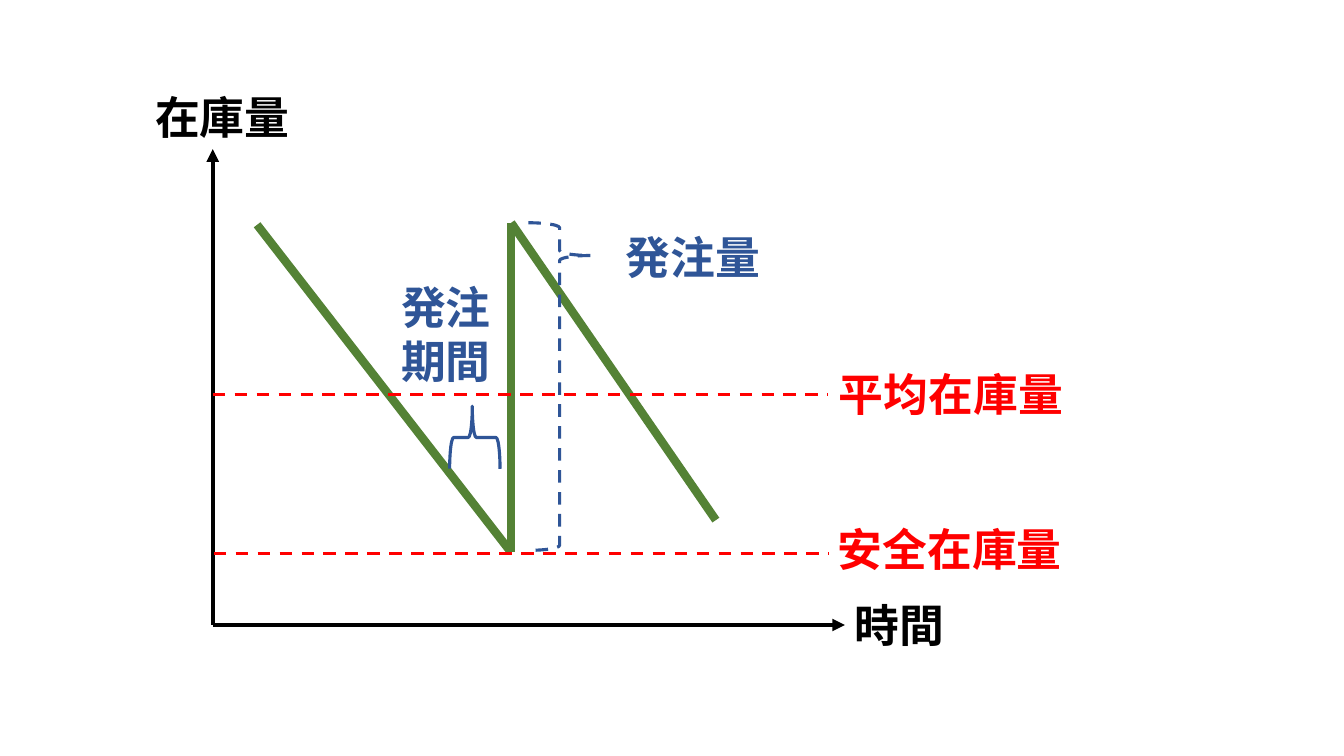
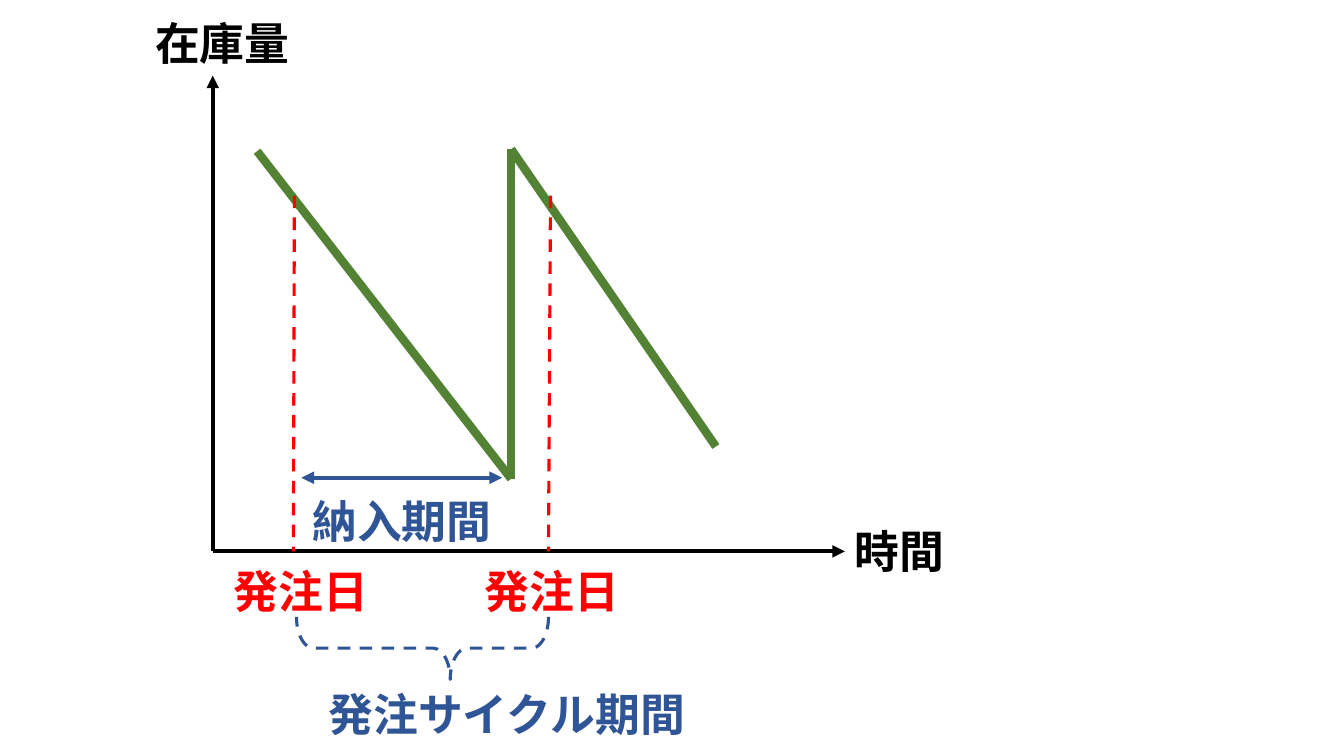
import lxml.etree
import pptx
import pptx.util
import pptx.dml.color
import pptx.enum.dml
import pptx.enum.shapes
import pptx.enum.text
import pptx.oxml.ns

PX = 9144  # one px is a hundredth of an inch
FONT = "Noto Sans CJK JP"
BLACK, GREEN, BLUE, RED = "000000", "548235", "2F5597", "FF0000"
AXIS, STOCK, THIN = 3, 6, 2.25  # line widths in points
ROW = 64  # height of a one-line label


def px(num):
    return pptx.util.Emu(num * PX)


def tint(code):
    return pptx.dml.color.RGBColor.from_string(code)


def add_tag(node, name, **attrs):
    return lxml.etree.SubElement(node, pptx.oxml.ns.qn(name), attrs)


def pen(shape, color, width, dash):
    shape.line.color.rgb = tint(color)
    shape.line.width = pptx.util.Pt(width)
    if dash:
        shape.line.dash_style = pptx.enum.dml.MSO_LINE.DASH


class Board:
    """A slide region whose parts are placed from its top left corner."""

    def __init__(self, slide, left, top):
        self.shapes, self.left, self.top = slide.shapes, left, top

    def spot(self, x, y):
        return px(self.left + x), px(self.top + y)

    def line(self, start, end, color, width, dash=False, ends=()):
        link = self.shapes.add_connector(
            pptx.enum.shapes.MSO_CONNECTOR.STRAIGHT,
            *self.spot(*start), *self.spot(*end))
        pen(link, color, width, dash)
        props = link._element.spPr
        for name in ends:
            add_tag(props.get_or_add_ln(), name, type="triangle")
        add_tag(props, "a:effectLst")

    def label(self, text, x, y, width, color, height=ROW, wrap=False):
        box = self.shapes.add_textbox(*self.spot(x, y), px(width), px(height))
        frame = box.text_frame
        frame.text = text
        frame.word_wrap = wrap
        frame.auto_size = pptx.enum.text.MSO_AUTO_SIZE.SHAPE_TO_FIT_TEXT
        for para in frame.paragraphs:
            for run in para.runs:
                run.font.size = pptx.util.Pt(32)
                run.font.bold = True
                run.font.name = FONT
                run.font.color.rgb = tint(color)
                add_tag(run.font._element, "a:ea", typeface=FONT)

    def brace(self, x, y, width, height, curve, tip, turn=0, dash=False):
        shape = self.shapes.add_shape(
            pptx.enum.shapes.MSO_SHAPE.RIGHT_BRACE,
            *self.spot(x, y), px(width), px(height))
        shape.adjustments[0], shape.adjustments[1] = curve, tip
        shape.rotation = turn
        shape.shadow.inherit = False
        shape.fill.background()
        pen(shape, BLUE, THIN, dash)


def stock_chart(slide, left, top):
    """Axes and the falling and refilled stock level, on both slides."""
    board = Board(slide, left, top)
    zero = (67, 536)
    for end in ((694, 536), (67, 64)):
        board.line(zero, end, BLACK, AXIS, ends=("a:tailEnd",))
    board.label("在庫量", 0, 0, 155, BLACK)
    board.label("時間", 694, 504, 110, BLACK)

    low, peak = (363, 464), (363, 137)
    for start, end in (((111, 139), low), (peak, low), (peak, (566, 432))):
        board.line(start, end, GREEN, STOCK)
    return board


def level_slide(slide):
    board = stock_chart(slide, 144, 84)

    # Order size and order period
    board.brace(380, 137, 62, 325, 0.08, 0.1, dash=True)
    board.brace(296, 325, 62, 50, 0.08, 0.45, turn=270)
    board.label("発注量", 467, 139, 155, BLUE)
    board.label("発注\n期間", 244, 189, 110, BLUE, height=118)

    # Average and safety levels
    for text, y, x, rise in (("平均在庫量", 307, 67, 32),
                             ("安全在庫量", 465, 68, 36)):
        board.line((x, y), (x + 610, y), RED, THIN, dash=True)
        board.label(text, 745 - x, y - rise, 245, RED)


def cycle_slide(slide):
    board = stock_chart(slide, 144, 11)

    # Order days
    for name_x, top_x, foot_x in ((78, 148, 147), (327, 402, 400)):
        board.label("発注日", name_x, 543, 155, RED)
        board.line((top_x, 183), (foot_x, 536), RED, THIN, dash=True)

    # Delivery time and order cycle
    board.line((155, 463), (354, 463), BLUE, AXIS,
               ends=("a:headEnd", "a:tailEnd"))
    board.label("納入期間", 156, 474, 207, BLUE, wrap=True)
    board.brace(244, 507, 62, 250, 0.27, 0.39, turn=90, dash=True)
    board.label("発注サイクル期間", 172, 665, 394, BLUE, wrap=True)


def main():
    deck = pptx.Presentation()
    deck.slide_width, deck.slide_height = px(1333), px(750)
    blank = deck.slide_layouts[6]
    for build in (level_slide, cycle_slide):
        build(deck.slides.add_slide(blank))
    deck.save("out.pptx")


if __name__ == "__main__":
    main()
